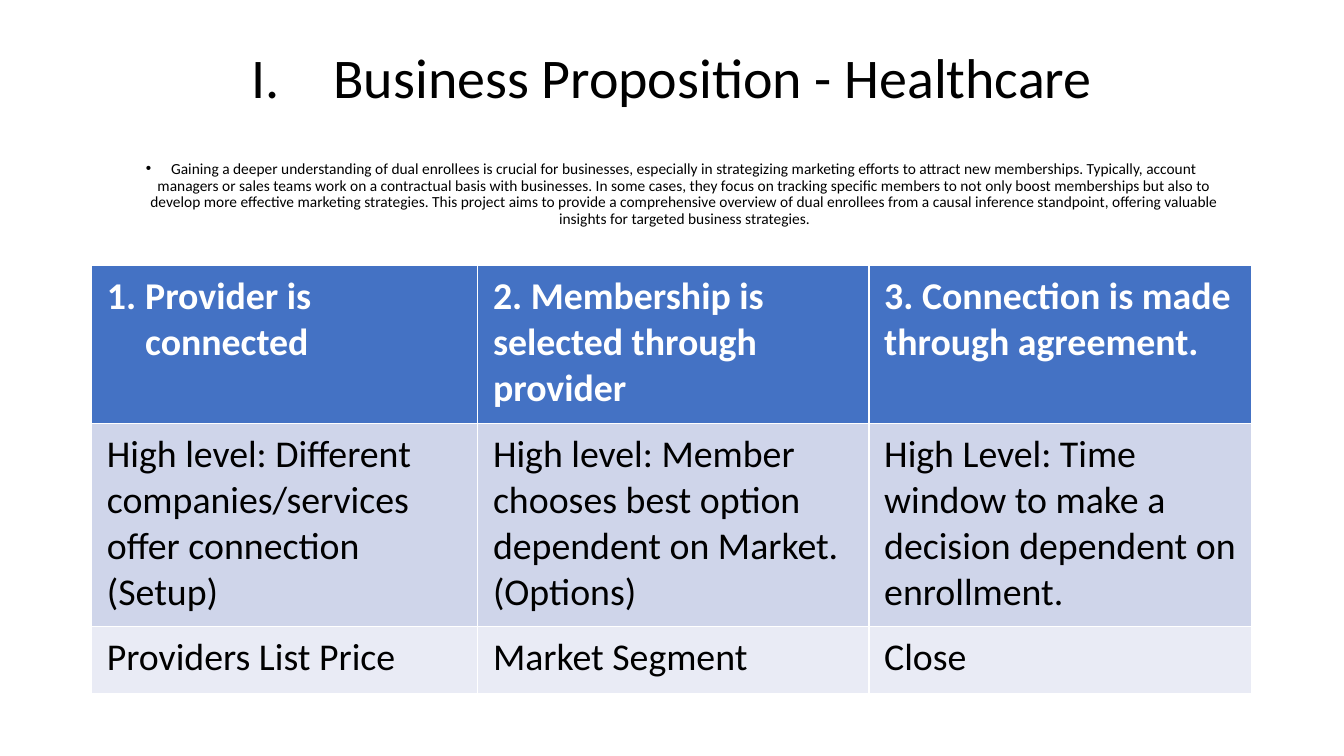
from lxml.etree import SubElement
from pptx import Presentation
from pptx.dml.color import RGBColor
from pptx.enum.text import MSO_ANCHOR, MSO_AUTO_SIZE, PP_ALIGN
from pptx.oxml.ns import qn
from pptx.util import Inches, Pt

TITLE = "Business Proposition - Healthcare"
BODY = (
    "Gaining a deeper understanding of dual enrollees is crucial for businesses, "
    "especially in strategizing marketing efforts to attract new memberships. "
    "Typically, account managers or sales teams work on a contractual basis with "
    "businesses. In some cases, they focus on tracking specific members to not only "
    "boost memberships but also to develop more effective marketing strategies. This "
    "project aims to provide a comprehensive overview of dual enrollees from a causal "
    "inference standpoint, offering valuable insights for targeted business strategies."
)
ROWS = [
    ["Provider is connected",
     "2. Membership is selected through provider",
     "3. Connection is made through agreement."],
    ["High level: Different companies/services offer connection (Setup)",
     "High level: Member chooses best option dependent on Market. (Options)",
     "High Level: Time window to make a decision dependent on enrollment."],
    ["Providers List Price", "Market Segment", "Close"],
]
WIDTHS = [3.83, 3.88, 3.79]
HEIGHTS = [1.57, 2.02, 0.66]
FILLS = ["4472C4", "CFD5EA", "E9EBF5"]
INKS = ["FFFFFF", "000000", "000000"]


def color(code):
    return RGBColor.from_string(code)


def style(para, size, ink, bold=False):
    font = para.font
    font.name, font.size, font.bold = "Calibri", Pt(size), bold
    font.color.rgb = color(ink)


def bullet(para, indent, tag, **marks):
    props = para._p.get_or_add_pPr()
    props.set("marL", str(Inches(indent)))
    props.set("indent", str(-Inches(indent)))
    SubElement(props, qn("a:buFont"), typeface="Arial" if tag == "buChar" else "+mj-lt")
    SubElement(props, qn("a:" + tag), **marks)


def place(shape, box, text, anchor):
    shape.left, shape.top, shape.width, shape.height = map(Inches, box)
    frame = shape.text_frame
    frame.text = text
    frame.word_wrap = True
    frame.auto_size = MSO_AUTO_SIZE.NONE
    frame.vertical_anchor = anchor
    para = frame.paragraphs[0]
    para.alignment = PP_ALIGN.CENTER
    para.line_spacing = 0.9
    para.space_before = Pt(0)
    return para


def main():
    deck = Presentation()
    deck.slide_width, deck.slide_height = Inches(13.33), Inches(7.5)
    slide = deck.slides.add_slide(deck.slide_layouts[1])
    title, body = slide.placeholders

    para = place(title, (1.1, 0.19, 11.13, 1.22), TITLE, MSO_ANCHOR.MIDDLE)
    bullet(para, 0.81, "buAutoNum", type="romanUcPeriod")
    style(para, 40, "000000")

    para = place(body, (1.1, 1.6, 11.13, 0.84), BODY, MSO_ANCHOR.TOP)
    body.text_frame.margin_top = 0
    bullet(para, 0.25, "buChar", char="•")
    style(para, 11, "000000")

    table = slide.shapes.add_table(
        len(ROWS), len(WIDTHS), Inches(0.91), Inches(2.63),
        Inches(sum(WIDTHS)), Inches(sum(HEIGHTS))).table
    for col, width in zip(table.columns, WIDTHS):
        col.width = Inches(width)
    for r, texts in enumerate(ROWS):
        table.rows[r].height = Inches(HEIGHTS[r])
        for c, text in enumerate(texts):
            cell = table.cell(r, c)
            cell.text = text
            cell.fill.solid()
            cell.fill.fore_color.rgb = color(FILLS[r])
            cell.margin_left = cell.margin_right = Inches(0.15)
            cell.margin_top = cell.margin_bottom = Inches(0.08)
            para = cell.text_frame.paragraphs[0]
            if r == c == 0:
                bullet(para, 0.38, "buAutoNum", type="arabicPeriod")
            style(para, 27, INKS[r], r == 0)

    deck.save("out.pptx")


if __name__ == "__main__":
    main()
